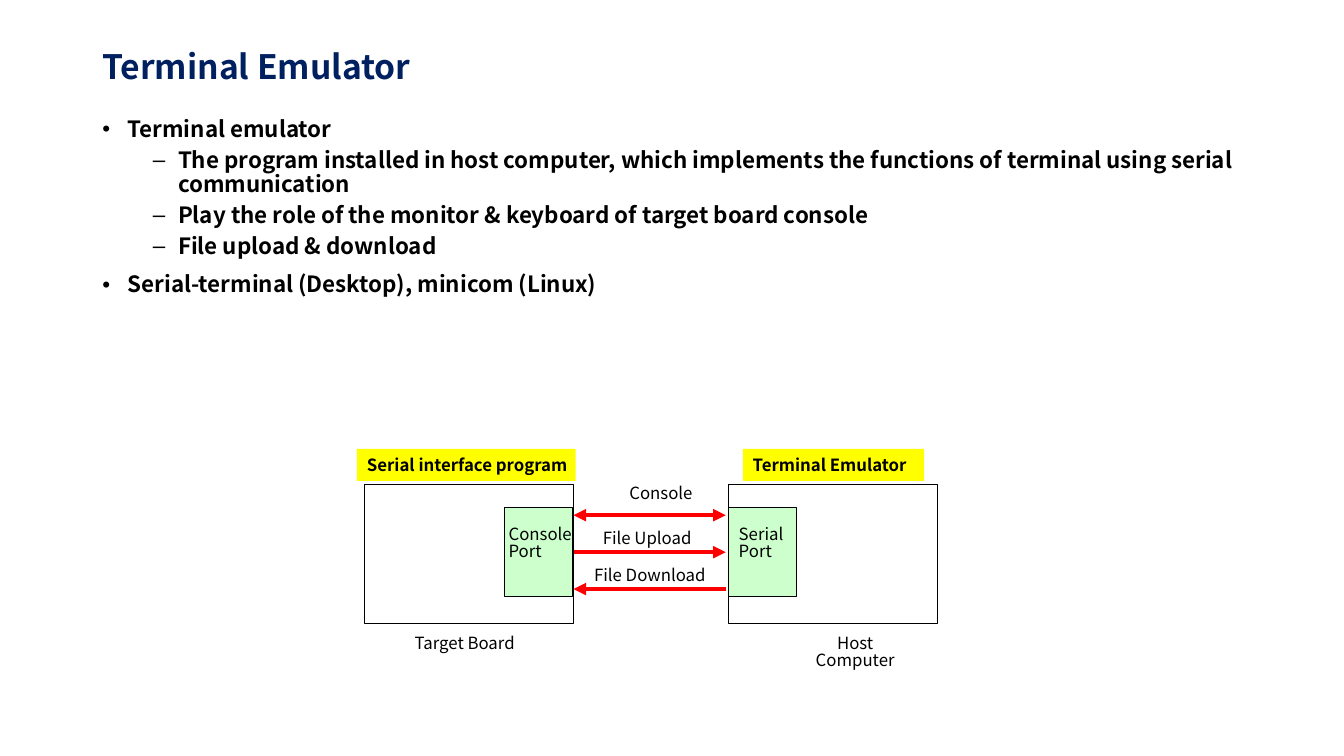
from lxml import etree
from pptx import Presentation
from pptx.dml.color import RGBColor
from pptx.enum.shapes import MSO_CONNECTOR, MSO_SHAPE
from pptx.enum.text import MSO_ANCHOR, MSO_AUTO_SIZE, PP_ALIGN
from pptx.oxml.ns import qn
from pptx.util import Pt

LEFT, CENTER, RIGHT = PP_ALIGN.LEFT, PP_ALIGN.CENTER, PP_ALIGN.RIGHT
TOP, MIDDLE = MSO_ANCHOR.TOP, MSO_ANCHOR.MIDDLE
NO_FIT = MSO_AUTO_SIZE.NONE
RECTANGLE, STRAIGHT = MSO_SHAPE.RECTANGLE, MSO_CONNECTOR.STRAIGHT

COLORS = {
    "title": "002060",
    "text": "000000",
    "port": "CCFFCC",
    "label": "FFFF00",
    "arrow": "FF0000",
}


class SlideBuilder:
    font_name = "Noto Sans CJK KR"

    def __init__(self, slide):
        self.slide = slide

    def color(self, name):
        return RGBColor.from_string(COLORS[name])

    def apply(self, target, formats):
        for attribute, value in formats.items():
            setattr(target, attribute, value)

    def place(self, shape, box):
        names = ("left", "top", "width", "height")
        self.apply(shape, {name: Pt(value) for name, value in zip(names, box)})

    def fill_paragraph(self, paragraph, text, size, bold=False, color="text",
                       **formats):
        paragraph.text = text
        self.apply(paragraph, formats)
        self.apply(paragraph.runs[0].font,
                   {"name": self.font_name, "size": Pt(size), "bold": bold})
        paragraph.runs[0].font.color.rgb = self.color(color)

    def title(self, text, box):
        title = self.slide.shapes.title
        self.place(title, box)
        self.apply(title.text_frame, {"auto_size": NO_FIT, "vertical_anchor": MIDDLE})
        self.fill_paragraph(title.text_frame.paragraphs[0], text, 24, True, "title",
                            alignment=LEFT, line_spacing=0.9)

    def bullets(self, items, box):
        body = self.slide.placeholders[1]
        self.place(body, box)
        frame = body.text_frame
        self.apply(frame, {"auto_size": NO_FIT, "vertical_anchor": TOP})
        for index, (level, text) in enumerate(items):
            paragraph = frame.paragraphs[0] if index == 0 else frame.add_paragraph()
            properties = paragraph._p.get_or_add_pPr()
            properties.set("marL", str(Pt(18 + 36 * level)))
            properties.set("indent", str(Pt(-18)))
            etree.SubElement(properties, qn("a:buFont")).set("typeface", "Arial")
            etree.SubElement(properties, qn("a:buChar")).set("char", "•–"[level])
            before = 0 if index == 0 else (10, 5)[level]
            self.fill_paragraph(paragraph, text, 16, True, level=level, alignment=LEFT,
                                line_spacing=0.9, space_before=Pt(before))

    def rectangle(self, box, fill=None, outlined=True):
        shape = self.slide.shapes.add_shape(RECTANGLE, *map(Pt, box))
        shape.shadow.inherit = False
        if fill:
            shape.fill.solid()
            shape.fill.fore_color.rgb = self.color(fill)
        else:
            shape.fill.background()
        if outlined:
            shape.line.color.rgb = self.color("text")
            shape.line.width = Pt(0.75)
        else:
            shape.line.fill.background()
        return shape

    def label(self, text, box):
        frame = self.rectangle(box, "label", outlined=False).text_frame
        self.apply(frame, {"word_wrap": False, "vertical_anchor": MIDDLE})
        self.fill_paragraph(frame.paragraphs[0], text, 12, True, alignment=LEFT)

    def caption(self, lines, box, alignment=LEFT, line_spacing=0.85):
        frame = self.slide.shapes.add_textbox(*map(Pt, box)).text_frame
        frame.word_wrap = True
        for index, text in enumerate(lines):
            paragraph = frame.paragraphs[0] if index == 0 else frame.add_paragraph()
            self.fill_paragraph(paragraph, text, 12, alignment=alignment,
                                line_spacing=line_spacing)

    def arrow(self, start, end, y, ends):
        arrow = self.slide.shapes.add_connector(
            STRAIGHT, Pt(start), Pt(y), Pt(end), Pt(y))
        arrow.line.color.rgb = self.color("arrow")
        arrow.line.width = Pt(3)
        line = arrow.line._get_or_add_ln()
        for end_name in ends:
            etree.SubElement(line, qn("a:" + end_name)).set("type", "triangle")
        etree.SubElement(arrow._element.spPr, qn("a:effectLst"))


def main():
    presentation = Presentation()
    presentation.slide_width, presentation.slide_height = Pt(960), Pt(540)
    builder = SlideBuilder(
        presentation.slides.add_slide(presentation.slide_layouts[1]))

    # Title and list
    builder.title("Terminal Emulator", (66, 32.4, 828, 33.8))
    builder.bullets([
        (0, "Terminal emulator"),
        (1, "The program installed in host computer, which implements the "
            "functions of terminal using serial communication"),
        (1, "Play the role of the monitor & keyboard of target board console"),
        (1, "File upload & download"),
        (0, "Serial-terminal (Desktop), minicom (Linux)"),
    ], (66, 80.6, 828, 406))

    # Target board and host computer, each with its port
    board_left, host_left, board_width, port_width = 260.4, 520.6, 149.3, 48.3
    for left in (board_left, host_left):
        builder.rectangle((left, 346.2, board_width, 99.4))
    console_port_left = board_left + board_width - port_width - 1
    for left in (console_port_left, host_left):
        builder.rectangle((left, 362.6, port_width, 63.7), "port")

    # Program labels
    builder.label("Serial interface program", (255, 320.6, 156.2, 23))
    builder.label("Terminal Emulator", (530.6, 320.6, 129.6, 23))

    # Port and machine captions
    builder.caption(["Console", "Port"], (356.2, 373, 67.7, 31.7))
    builder.caption(["Serial", "Port"], (host_left, 373, port_width, 31.7))
    builder.caption(["Target Board"], (289.2, 450.7, 110.9, 19.4))
    builder.caption(["Host Computer"], (561.6, 450.7, 98.6, 19.4), CENTER)

    # Transfers between the ports
    transfers = [
        ("Console", (433.4, 341.3, 68.4, 21.6), ("headEnd", "tailEnd")),
        ("File Upload", (419, 373.2, 82.1, 21.6), ("tailEnd",)),
        ("File Download", (400.3, 399.6, 110.9, 21.6), ("headEnd",)),
    ]
    for row, (name, box, ends) in enumerate(transfers):
        builder.arrow(409.7, 518.4, 368 + 26.4 * row, ends)
        builder.caption([name], box, RIGHT, 1.0)

    presentation.save("out.pptx")


if __name__ == "__main__":
    main()
